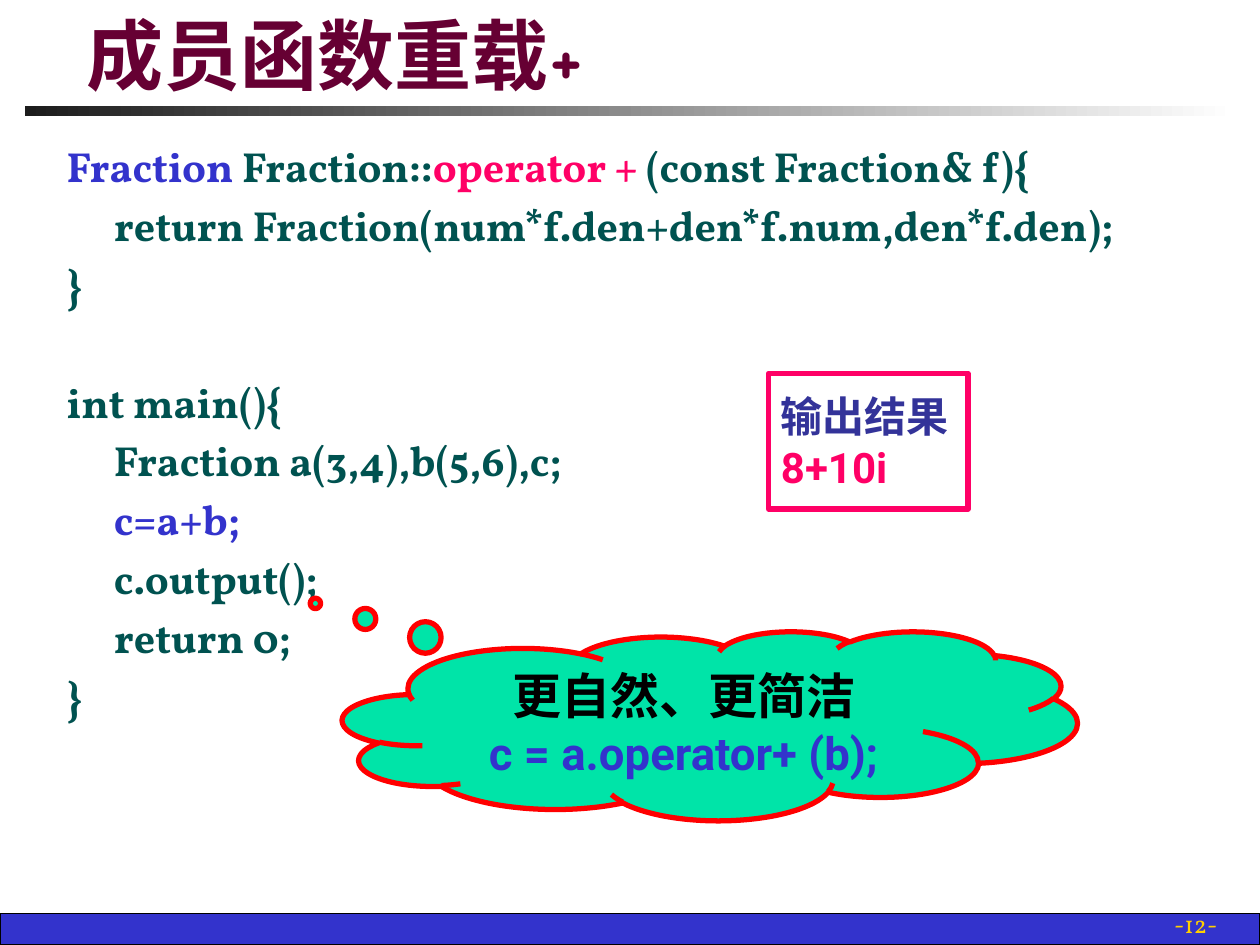
from dataclasses import dataclass

from pptx import Presentation
from pptx.dml.color import RGBColor
from pptx.enum.shapes import MSO_SHAPE as Shape
from pptx.enum.text import MSO_ANCHOR as Anchor, PP_ALIGN as Align
from pptx.util import Pt


@dataclass(frozen=True)
class Theme:
    # Colours
    blue: str = "3333CC"
    indigo: str = "333399"
    green: str = "005250"
    pink: str = "FF0066"
    maroon: str = "660033"
    gold: str = "FFCF01"
    mint: str = "00E4A8"
    red: str = "FF0000"
    black: str = "000000"
    rule_start: str = "1C1C1C"
    rule_end: str = "FFFFFF"
    # Fonts
    title_font: str = "Comic Neue"
    code_font: str = "Vollkorn"
    label_font: str = "Roboto"
    # Type sizes
    title_size: float = 44
    code_size: float = 24
    cloud_size: float = 28
    call_size: float = 26
    number_size: float = 14


THEME = Theme()


def set_all(target, values):
    for name, value in values.items():
        setattr(target, name, value)


def add_run(paragraph, text, font, size, color, bold=True):
    run = paragraph.add_run()
    run.text = text
    set_all(run.font, {"name": font, "size": Pt(size), "bold": bold})
    run.font.color.rgb = RGBColor.from_string(color)


def next_paragraph(frame, index, **paragraph_format):
    paragraph = frame.add_paragraph() if index else frame.paragraphs[0]
    set_all(paragraph, paragraph_format)
    return paragraph


def add_box(slide, box, anchor=Anchor.TOP):
    frame = slide.shapes.add_textbox(*map(Pt, box)).text_frame
    set_all(frame, {"word_wrap": True, "vertical_anchor": anchor})
    return frame


def add_shape(slide, kind, box, fill=None, line=None, width=0.75):
    shape = slide.shapes.add_shape(kind, *map(Pt, box))
    shape.shadow.inherit = False
    if fill:
        shape.fill.solid()
        shape.fill.fore_color.rgb = RGBColor.from_string(fill)
    else:
        shape.fill.background()
    if line:
        shape.line.color.rgb = RGBColor.from_string(line)
        shape.line.width = Pt(width)
    else:
        shape.line.fill.background()
    return shape


def add_gradient_rule(slide, box, colors):
    rule = add_shape(slide, Shape.RECTANGLE, box)
    rule.fill.gradient()
    rule.fill.gradient_angle = 0
    for position, (stop, color) in enumerate(zip(rule.fill.gradient_stops, colors)):
        stop.position = position
        stop.color.rgb = RGBColor.from_string(color)


def add_labels(shape, labels, align):
    for index, (text, size, color) in enumerate(labels):
        paragraph = next_paragraph(shape.text_frame, index, alignment=align)
        add_run(paragraph, text, THEME.label_font, size, color)


def add_code(slide, box, lines):
    """Each line is (indent level, blank lines above, runs)."""
    leading, gap, indent = 28.8, 4.8, 27
    frame = add_box(slide, box)
    for index, (level, blanks, runs) in enumerate(lines):
        paragraph = next_paragraph(
            frame, index,
            line_spacing=Pt(leading),
            space_before=Pt(gap + blanks * (leading + gap)),
        )
        paragraph_properties = paragraph._p.get_or_add_pPr()
        paragraph_properties.set("marL", str(Pt(level * indent)))
        for text, color in runs:
            add_run(paragraph, text, THEME.code_font, THEME.code_size, color)


def main():
    presentation = Presentation()
    set_all(presentation, {"slide_width": Pt(720), "slide_height": Pt(540)})
    slide = presentation.slides.add_slide(presentation.slide_layouts[6])

    # Footer bar, title rule and page number
    add_shape(slide, Shape.RECTANGLE, (0, 522, 720, 18), THEME.blue, THEME.black)
    add_gradient_rule(slide, (14.4, 60.5, 692, 5.75),
                      (THEME.rule_start, THEME.rule_end))
    number = add_box(slide, (553, 516.25, 149.75, 23.75), Anchor.BOTTOM)
    add_run(next_paragraph(number, 0, alignment=Align.RIGHT), "-12-",
            THEME.code_font, THEME.number_size, THEME.gold, bold=False)

    # Program text
    green, blue = THEME.green, THEME.blue
    add_code(slide, (31, 77, 658, 408), [
        (0, 0, [("Fraction ", blue), ("Fraction::", green),
                ("operator +", THEME.pink), (" (const Fraction& f){", green)]),
        (1, 0, [("return Fraction(num*f.den+den*f.num,den*f.den);", green)]),
        (0, 0, [("}", green)]),
        (0, 1, [("int main(){", green)]),
        (1, 0, [("Fraction a(3,4),b(5,6),c;", green)]),
        (1, 0, [("c=a+b;", blue)]),
        (1, 0, [("c.output();", green)]),
        (1, 0, [("return 0;", green)]),
        (0, 0, [("}", green)]),
    ])

    # Title
    title = add_box(slide, (42.5, 9.4, 628, 51), Anchor.BOTTOM)
    add_run(title.paragraphs[0], "成员函数重载+",
            THEME.title_font, THEME.title_size, THEME.maroon)

    # Thought cloud pointing at the addition
    cloud = add_shape(slide, Shape.CLOUD_CALLOUT, (195.8, 360.7, 419.8, 108),
                      THEME.mint, THEME.red, 3)
    cloud.adjustments[0], cloud.adjustments[1] = -0.537, -0.647
    cloud.text_frame.vertical_anchor = Anchor.TOP
    add_labels(cloud, [
        ("更自然、更简洁", THEME.cloud_size, THEME.black),
        ("c = a.operator+ (b);", THEME.call_size, blue),
    ], Align.CENTER)

    # Program output
    output = add_shape(slide, Shape.RECTANGLE, (439.2, 213.3, 114, 77.6),
                       line=THEME.pink, width=3)
    set_all(output.text_frame,
            {"word_wrap": False, "vertical_anchor": Anchor.MIDDLE})
    add_labels(output, [
        ("输出结果", THEME.code_size, THEME.indigo),
        ("8+10i", THEME.code_size, THEME.pink),
    ], Align.LEFT)

    presentation.save("out.pptx")


if __name__ == "__main__":
    main()
